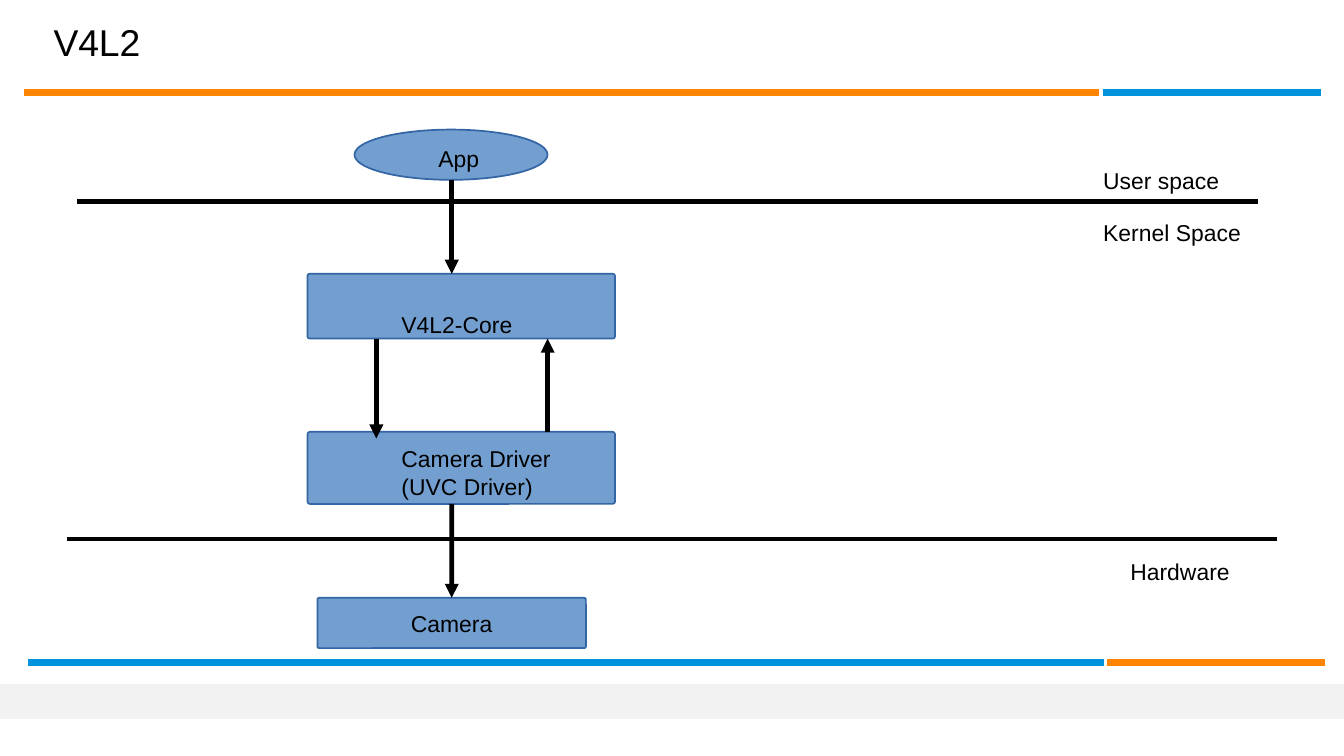
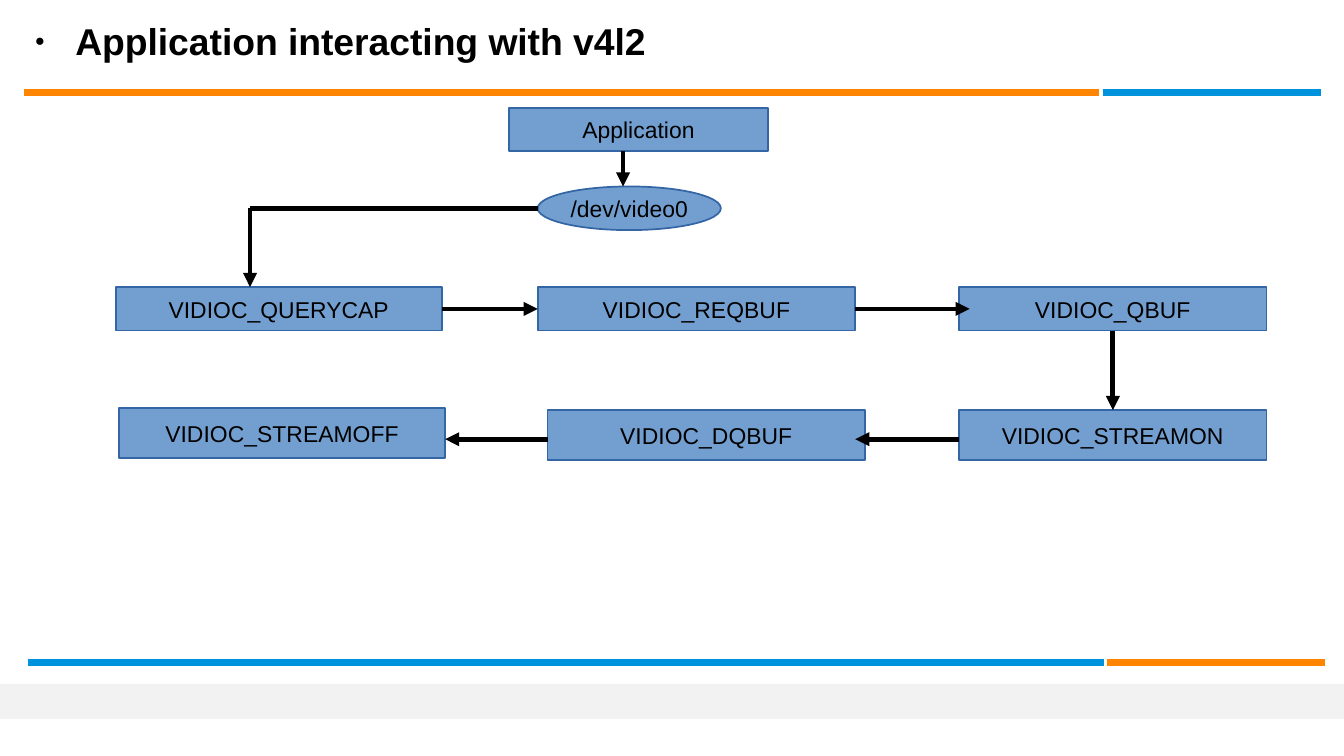
from lxml.etree import SubElement
from pptx import Presentation
from pptx.dml.color import RGBColor
from pptx.enum.shapes import MSO_CONNECTOR as Link, MSO_SHAPE as Preset
from pptx.enum.text import MSO_ANCHOR as Anchor, PP_ALIGN as Align
from pptx.oxml.ns import qn
from pptx.util import Cm, Pt

# Shared look
COLORS = {"orange": "FF8500", "blue": "0093DD", "strip": "F2F2F2",
          "box": "729FCF", "edge": "3465A4", "ink": "000000"}
FONT = "Arial"
BODY_SIZE, TITLE_SIZE = 9.8, 16
TITLE_INDENT = 0.61
HAIRLINE, BAND_WIDTH = 0, 2.98
SLIDE_SIZE = (20.32, 11.43)
FOOTER_STRIP = (0, 10.34, 20.32, 0.53)
LONG_BAND, SHORT_BAND, BAND_GAP = 16.26, 3.3, 0.05
BANDS = [  # left, y, first colour, second colour
    (0.36, 1.4, "orange", "blue"),
    (0.43, 10.01, "blue", "orange"),
]
TOP, LEFT, BOTTOM, RIGHT = range(4)

# Nodes: key -> preset, left, top, width, height, text
# Arrows: start, end; each a point or a (node key, side) pair
STACK_TITLE = ("V4L2", (0.2, 0.18, 18.21, 0.89))
STACK_NODES = {
    "app": (Preset.OVAL, 5.36, 1.96, 2.92, 0.76, ""),
    "core": (Preset.ROUNDED_RECTANGLE, 4.65, 4.14, 4.65, 0.98, ""),
    "driver": (Preset.ROUNDED_RECTANGLE, 4.65, 6.53, 4.65, 1.09, ""),
    "camera": (Preset.ROUNDED_RECTANGLE, 4.8, 9.04, 4.06, 0.76, "Camera"),
}
STACK_ARROWS = [
    ((6.83, 2.72), (6.83, 4.14)),
    ((5.69, 5.12), (5.69, 6.63)),
    ((6.83, 7.62), ("camera", TOP)),
    ((8.28, 6.53), (8.28, 5.12)),
]
SPACE_BORDERS = [((1.17, 3.05), (19.02, 3.05)), ((1.02, 8.15), (19.3, 8.15))]
STACK_LABELS = [  # text, left, top, width, height
    ("App", 6.38, 2.06, 1.3, 0.53),
    ("V4L2-Core", 5.82, 4.57, 2.59, 0.53),
    ("Camera Driver\n(UVC Driver)", 5.82, 6.6, 2.77, 0.91),
    ("User space", 16.43, 2.39, 2.87, 0.53),
    ("Kernel Space", 16.43, 3.18, 3.12, 0.53),
    ("Hardware", 16.84, 8.31, 2.36, 0.53),
]

CALLS_TITLE = ("Application interacting with v4l2", (0.28, 0.15, 14.15, 0.99))
CALLS_NODES = {
    "application": (Preset.RECTANGLE, 7.7, 1.63, 3.91, 0.66, "Application"),
    "device": (Preset.OVAL, 8.13, 2.82, 2.77, 0.66, "/dev/video0"),
    "querycap": (Preset.RECTANGLE, 1.75, 4.34, 4.93, 0.66, "VIDIOC_QUERYCAP"),
    "reqbuf": (Preset.RECTANGLE, 8.13, 4.34, 4.8, 0.66, "VIDIOC_REQBUF"),
    "qbuf": (Preset.RECTANGLE, 14.5, 4.34, 4.65, 0.66, "VIDIOC_QBUF"),
    "streamon": (Preset.RECTANGLE, 14.5, 6.2, 4.65, 0.76, "VIDIOC_STREAMON"),
    "dqbuf": (Preset.RECTANGLE, 8.28, 6.2, 4.8, 0.76, "VIDIOC_DQBUF"),
    "streamoff": (Preset.RECTANGLE, 1.8, 6.17, 4.93, 0.76, "VIDIOC_STREAMOFF"),
}
DEVICE_BEND = (3.78, 3.15)
CALLS_ARROWS = [
    ((9.42, 2.29), (9.42, 2.82)),
    (DEVICE_BEND, (3.78, 4.34)),
    (("querycap", RIGHT), ("reqbuf", LEFT)),
    (("reqbuf", RIGHT), (14.66, 4.67)),
    (("qbuf", BOTTOM), ("streamon", TOP)),
    ((14.5, 6.64), (12.93, 6.64)),
    ((8.28, 6.64), (6.73, 6.64)),
]


def lengths(values):
    return [Cm(value) for value in values]


def color(name):
    return RGBColor.from_string(COLORS[name])


def style_text(frame, text, size=BODY_SIZE, bold=False, align=Align.LEFT):
    frame.text = text
    for paragraph in frame.paragraphs:
        paragraph.alignment = align
        font = paragraph.font
        font.name, font.size, font.bold = FONT, Pt(size), bold
        font.color.rgb = color("ink")


def add_line(slide, start, end, line_color="ink", width=HAIRLINE):
    line = slide.shapes.add_connector(Link.STRAIGHT, *lengths(start + end))
    line.line.color.rgb = color(line_color)
    line.line.width = Pt(width)
    SubElement(line._element.spPr, qn("a:effectLst"))
    return line


def add_block(slide, preset, box, fill):
    block = slide.shapes.add_shape(preset, *lengths(box))
    block.shadow.inherit = False
    block.fill.solid()
    block.fill.fore_color.rgb = color(fill)
    block.line.fill.background()
    return block


def add_label(slide, text, box, **style):
    label = slide.shapes.add_textbox(*lengths(box))
    label.text_frame.word_wrap = True
    style_text(label.text_frame, text, **style)
    return label.text_frame


def add_title(slide, text, box, bulleted=False):
    frame = add_label(slide, text, box, size=TITLE_SIZE, bold=bulleted)
    props = frame.paragraphs[0]._p.get_or_add_pPr()
    props.set("marL", str(Cm(TITLE_INDENT)))
    if bulleted:
        props.set("indent", str(-Cm(TITLE_INDENT)))
        bullet_color = SubElement(props, qn("a:buClr"))
        SubElement(bullet_color, qn("a:srgbClr"), val=COLORS["ink"])
        SubElement(props, qn("a:buSzPct"), val="45000")
        SubElement(props, qn("a:buFont"), typeface=FONT)
        SubElement(props, qn("a:buChar"), char="●")
    else:
        frame.vertical_anchor = Anchor.MIDDLE
        frame.margin_left = frame.margin_right = 0
        frame.margin_top = frame.margin_bottom = 0


def add_nodes(slide, nodes):
    blocks = {}
    for key, (preset, *box, text) in nodes.items():
        block = add_block(slide, preset, box, "box")
        block.line.color.rgb = color("edge")
        block.line.width = Pt(HAIRLINE)
        if preset == Preset.ROUNDED_RECTANGLE:
            block.adjustments[0] = 0.036
        if text:
            block.text_frame.word_wrap = False
            block.text_frame.vertical_anchor = Anchor.MIDDLE
            style_text(block.text_frame, text, align=Align.CENTER)
        blocks[key] = block
    return blocks


def add_arrows(slide, arrows, nodes, blocks):
    def locate(place):
        if place[0] not in nodes:
            return place
        key, side = place
        _, left, top, width, height, _ = nodes[key]
        across, down = [(0.5, 0), (0, 0.5), (0.5, 1), (1, 0.5)][side]
        return left + across * width, top + down * height

    for start, end in arrows:
        arrow = add_line(slide, locate(start), locate(end))
        for place, join in ((start, arrow.begin_connect), (end, arrow.end_connect)):
            if place[0] in blocks:
                join(blocks[place[0]], place[1])
        SubElement(arrow.line._get_or_add_ln(), qn("a:tailEnd"), type="triangle")


def add_framed_slide(deck):
    slide = deck.slides.add_slide(deck.slide_layouts[6])
    add_block(slide, Preset.RECTANGLE, FOOTER_STRIP, "strip")
    for left, y, first, second in BANDS:
        split = left + LONG_BAND
        resume = split + BAND_GAP
        add_line(slide, (left, y), (split, y), first, BAND_WIDTH)
        add_line(slide, (resume, y), (resume + SHORT_BAND, y), second, BAND_WIDTH)
    return slide


def main():
    deck = Presentation()
    deck.slide_width, deck.slide_height = lengths(SLIDE_SIZE)

    # Driver stack
    stack = add_framed_slide(deck)
    blocks = add_nodes(stack, STACK_NODES)
    add_arrows(stack, STACK_ARROWS, STACK_NODES, blocks)
    for start, end in SPACE_BORDERS:
        add_line(stack, start, end)
    for text, *box in STACK_LABELS:
        add_label(stack, text, box)
    add_title(stack, *STACK_TITLE)

    # Call sequence
    calls = add_framed_slide(deck)
    add_title(calls, *CALLS_TITLE, bulleted=True)
    blocks = add_nodes(calls, CALLS_NODES)
    add_line(calls, DEVICE_BEND, (8.13, 3.15))
    add_arrows(calls, CALLS_ARROWS, CALLS_NODES, blocks)

    deck.save("out.pptx")


if __name__ == "__main__":
    main()
